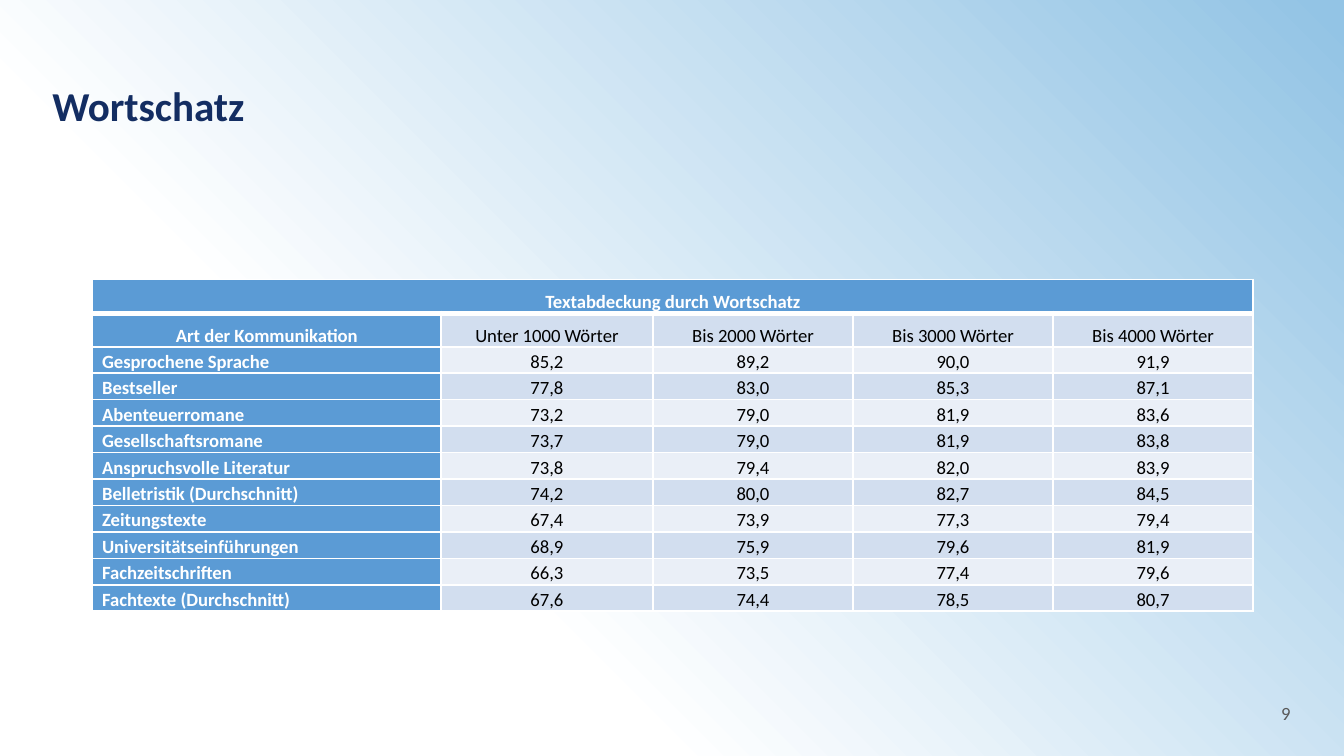
from lxml import etree
from pptx import Presentation
from pptx.dml.color import RGBColor
from pptx.enum import text
from pptx.oxml import ns
from pptx.util import Cm, Pt

HEADING = "Wortschatz"
PAGE_NUMBER = "9"
CAPTION = "Textabdeckung durch Wortschatz"
COLUMN_HEADS = ["Art der Kommunikation", "Unter 1000 Wörter", "Bis 2000 Wörter",
                "Bis 3000 Wörter", "Bis 4000 Wörter"]
COVERAGE = [
    ("Gesprochene Sprache", "85,2", "89,2", "90,0", "91,9"),
    ("Bestseller", "77,8", "83,0", "85,3", "87,1"),
    ("Abenteuerromane", "73,2", "79,0", "81,9", "83,6"),
    ("Gesellschaftsromane", "73,7", "79,0", "81,9", "83,8"),
    ("Anspruchsvolle Literatur", "73,8", "79,4", "82,0", "83,9"),
    ("Belletristik (Durchschnitt)", "74,2", "80,0", "82,7", "84,5"),
    ("Zeitungstexte", "67,4", "73,9", "77,3", "79,4"),
    ("Universitätseinführungen", "68,9", "75,9", "79,6", "81,9"),
    ("Fachzeitschriften", "66,3", "73,5", "77,4", "79,6"),
    ("Fachtexte (Durchschnitt)", "67,6", "74,4", "78,5", "80,7"),
]
COLORS = {"sky": "93C4E5", "white": "FFFFFF", "navy": "132D62", "gray": "595959",
          "black": "000000", "blue": "5B9BD5", "dark_band": "D2DEEF",
          "light_band": "EAEFF7"}
COLUMN_WIDTHS = [Cm(6.58), Cm(4.01)] + [Cm(3.78)] * 3
HEAD_HEIGHT, ROW_HEIGHT = Cm(0.56), Cm(0.5)
HEAD_ROWS = 2
ALIGN = text.PP_ALIGN


def color(name):
    """Return the named colour."""
    return RGBColor.from_string(COLORS[name])


def write(paragraph, wording, size, ink, bold, align, line_spacing, space_before):
    """Fill one paragraph and format it."""
    paragraph.text = wording
    paragraph.alignment = align
    paragraph.line_spacing = line_spacing
    paragraph.space_before = Pt(space_before)
    font = paragraph.font
    font.name, font.size, font.bold = "Calibri", Pt(size), bold
    font.color.rgb = color(ink)


def add_label(slide, box, wording, size, ink, bold, align):
    """Add a text box without insets."""
    frame = slide.shapes.add_textbox(*box).text_frame
    frame.word_wrap = True
    frame.margin_left = frame.margin_right = frame.margin_top = frame.margin_bottom = 0
    write(frame.paragraphs[0], wording, size, ink, bold, align, 0.9, 7.5)


def set_borders(cell, widths):
    """Draw white borders; widths maps each side to points."""
    properties = cell._tc.get_or_add_tcPr()
    for position, (side, width) in enumerate(widths.items()):
        line = etree.Element(ns.qn(f"a:ln{side}"), w=str(Pt(width)))
        fill = etree.SubElement(line, ns.qn("a:solidFill"))
        etree.SubElement(fill, ns.qn("a:srgbClr"), val=COLORS["white"])
        properties.insert(position, line)


def style_cell(cell, wording, row, column):
    """Write and colour a cell according to its place in the table."""
    is_head, is_label = row < HEAD_ROWS, row == 0 or column == 0
    cell.margin_left = cell.margin_right = Cm(0.18)
    cell.margin_top = cell.margin_bottom = 0
    cell.vertical_anchor = text.MSO_ANCHOR.TOP if is_head else text.MSO_ANCHOR.BOTTOM
    band = "dark_band" if row % 2 else "light_band"
    cell.fill.solid()
    cell.fill.fore_color.rgb = color("blue" if is_label else band)
    write(cell.text_frame.paragraphs[0], wording, 10,
          "white" if is_label else "black", is_label,
          ALIGN.CENTER if is_head or column else ALIGN.LEFT,
          1.5 if is_head else Pt(12), 7.2)
    set_borders(cell, {"L": 1, "R": 1, "T": 3 if row == 1 else 1,
                       "B": 3 if row == 0 else 1})


def add_coverage_table(slide):
    """Add the table with its caption spanning all columns."""
    rows = [[CAPTION] + [""] * (len(COLUMN_HEADS) - 1), COLUMN_HEADS, *COVERAGE]
    heights = [HEAD_HEIGHT] * HEAD_ROWS + [ROW_HEIGHT] * len(COVERAGE)
    table = slide.shapes.add_table(len(rows), len(COLUMN_HEADS), Cm(1.75), Cm(5.28),
                                   sum(COLUMN_WIDTHS), sum(heights)).table
    for column, width in zip(table.columns, COLUMN_WIDTHS):
        column.width = width
    for r, (wordings, height) in enumerate(zip(rows, heights)):
        table.rows[r].height = height
        for c, wording in enumerate(wordings):
            style_cell(table.cell(r, c), wording, r, c)
    table.cell(0, 0).merge(table.cell(0, len(COLUMN_HEADS) - 1))


def paint_background(slide):
    """Fade from sky blue at the top right to white."""
    fill = slide.background.fill
    fill.gradient()
    fill.gradient_angle = 225
    for stop, (position, name) in zip(fill.gradient_stops,
                                      [(0.01, "sky"), (0.68, "white")]):
        stop.position = position
        stop.color.rgb = color(name)


def main():
    """Build the slide and save it."""
    deck = Presentation()
    deck.slide_width, deck.slide_height = Cm(25.4), Cm(14.29)
    slide = deck.slides.add_slide(deck.slide_layouts[6])
    paint_background(slide)
    add_label(slide, (Cm(21.21), Cm(13.31), Cm(3.18), Cm(0.79)),
              PAGE_NUMBER, 10, "gray", False, ALIGN.RIGHT)
    add_label(slide, (Cm(0.99), Cm(1.63), Cm(19.71), Cm(0.69)),
              HEADING, 22, "navy", True, ALIGN.LEFT)
    add_coverage_table(slide)
    deck.save("out.pptx")


main()
